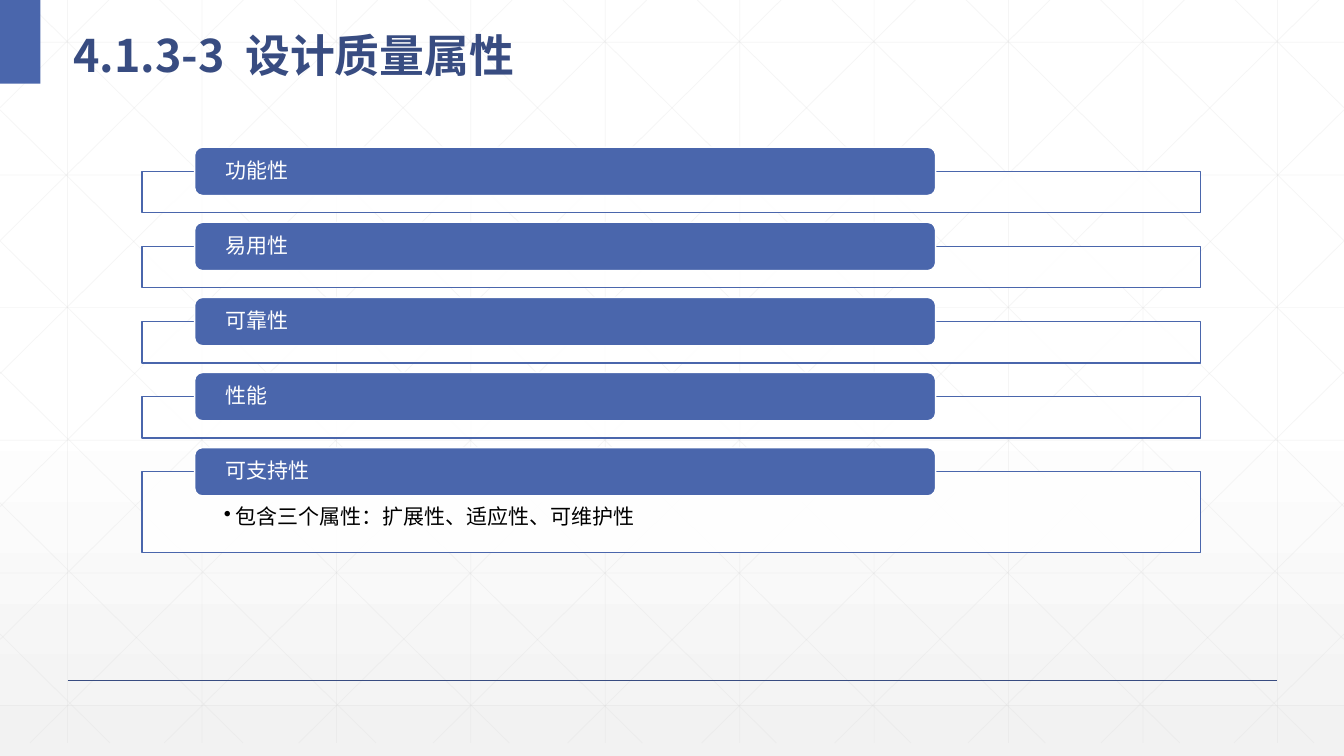
from dataclasses import dataclass

from lxml.etree import SubElement
from pptx import Presentation
from pptx.dml.color import RGBColor
from pptx.enum.shapes import MSO_CONNECTOR, MSO_SHAPE
from pptx.enum.text import MSO_ANCHOR, PP_ALIGN
from pptx.oxml.ns import qn
from pptx.util import Inches, Pt


@dataclass(frozen=True)
class Theme:
    white: str = "FFFFFF"
    black: str = "000000"
    shade: str = "F2F2F2"
    grid: str = "D9D9D9"
    blue: str = "4A66AC"
    navy: str = "384C81"
    latin: str = "Arial"
    chinese: str = "Noto Sans CJK SC"
    title_size: int = 32
    body_size: int = 15


@dataclass(frozen=True)
class Line:
    x1: float
    y1: float
    x2: float
    y2: float


@dataclass(frozen=True)
class Attribute:
    name: str
    height: float = 0.41
    detail: str = ""


THEME = Theme()
WIDTH = 13.33
GRID_HEIGHT = 7.37
DIAGONAL_RUN = 7.45
GRID_STEP = 4 / 3
FIRST_PANEL_TOP = 1.7
PANEL_PITCH = (4.68 - FIRST_PANEL_TOP) / 4
ATTRIBUTES = [
    Attribute("功能性"),
    Attribute("易用性"),
    Attribute("可靠性"),
    Attribute("性能"),
    Attribute("可支持性", 0.8, "包含三个属性：扩展性、适应性、可维护性"),
]


def set_alpha(element, percent: int) -> None:
    color = element.find(".//" + qn("a:srgbClr"))
    SubElement(color, qn("a:alpha")).set("val", str(percent * 1000))


def set_background(slide) -> None:
    fill = slide.background.fill
    fill.gradient()
    fill.gradient_angle = 270
    stops = slide.element.find(".//" + qn("a:gsLst"))
    for stop in list(stops):
        stops.remove(stop)
    for position, color in ((0, THEME.white), (53, THEME.white), (100, THEME.shade)):
        stop = SubElement(stops, qn("a:gs"))
        stop.set("pos", str(position * 1000))
        SubElement(stop, qn("a:srgbClr")).set("val", color)
    set_alpha(stops[-1], 65)


def draw_line(slide, line: Line, color: str, width: float, alpha: int = 100) -> None:
    connector = slide.shapes.add_connector(
        MSO_CONNECTOR.STRAIGHT,
        Inches(line.x1), Inches(line.y1), Inches(line.x2), Inches(line.y2),
    )
    connector.line.color.rgb = RGBColor.from_string(color)
    connector.line.width = Pt(width)
    properties = connector.element.spPr
    if alpha < 100:
        set_alpha(properties, alpha)
    SubElement(properties, qn("a:effectLst"))


def grid_lines() -> list[Line]:
    lines = []
    for index in range(10):
        x = 0.67 + index * GRID_STEP
        lines.append(Line(x, 0, x, GRID_HEIGHT))
    for index in range(6):
        y = 0.42 + index * 1.316
        lines.append(Line(0, y, WIDTH, y))
    diagonals = []
    for index in range(10):
        start = 0.25 + index * GRID_STEP
        end = min(WIDTH, start + DIAGONAL_RUN)
        diagonals.append(Line(start, 0, end, (end - start) * GRID_HEIGHT / DIAGONAL_RUN))
    for index in range(5):
        diagonals.append(Line(0, 1.09 + index * 1.3, 6.37 - index * 1.32, GRID_HEIGHT))
    mirrored = [Line(WIDTH - d.x1, d.y1, WIDTH - d.x2, d.y2) for d in diagonals]
    return lines + diagonals + mirrored


def draw_shape(slide, kind, left: float, top: float, width: float, height: float,
               fill: str, outline: str = ""):
    shape = slide.shapes.add_shape(
        kind, Inches(left), Inches(top), Inches(width), Inches(height)
    )
    shape.shadow.inherit = False
    shape.fill.solid()
    shape.fill.fore_color.rgb = RGBColor.from_string(fill)
    if outline:
        shape.line.color.rgb = RGBColor.from_string(outline)
        shape.line.width = Pt(1)
    else:
        shape.line.fill.background()
    return shape


def set_insets(frame, side: float, top: float, bottom: float) -> None:
    frame.margin_left = frame.margin_right = Inches(side)
    frame.margin_top = Inches(top)
    frame.margin_bottom = Inches(bottom)


def style_paragraph(paragraph, size: int, color: str, latin: str,
                    spacing: float, bold: bool = False) -> None:
    paragraph.alignment = PP_ALIGN.LEFT
    paragraph.line_spacing = spacing
    font = paragraph.font
    font.size = Pt(size)
    font.bold = bold
    font.color.rgb = RGBColor.from_string(color)
    font.name = latin
    SubElement(font._element, qn("a:ea")).set("typeface", THEME.chinese)


def add_bullet(paragraph) -> None:
    properties = paragraph._p.get_or_add_pPr()
    properties.set("marL", str(Inches(0.12)))
    properties.set("indent", str(Inches(-0.12)))
    SubElement(properties, qn("a:buChar")).set("char", "•")


def draw_title(slide) -> None:
    box = slide.shapes.add_textbox(Inches(0.63), Inches(0.1), Inches(12.42), Inches(0.73))
    frame = box.text_frame
    frame.word_wrap = True
    frame.vertical_anchor = MSO_ANCHOR.MIDDLE
    set_insets(frame, 0.1, 0.05, 0.05)
    paragraph = frame.paragraphs[0]
    for text in ("4.1.3-3", " ", "设计质量属性"):
        run = paragraph.add_run()
        run.text = text
        if text == " ":
            run._r.get_or_add_rPr().set("spc", "720")
    style_paragraph(paragraph, THEME.title_size, THEME.navy, THEME.chinese, 1.3, True)


def draw_attribute(slide, attribute: Attribute, top: float) -> None:
    panel = draw_shape(slide, MSO_SHAPE.RECTANGLE, 1.41, top, 10.5, attribute.height,
                       THEME.white, THEME.blue)
    set_alpha(panel.element.spPr, 90)
    if attribute.detail:
        frame = panel.text_frame
        frame.vertical_anchor = MSO_ANCHOR.TOP
        set_insets(frame, 0.81, 0.34, 0.12)
        paragraph = frame.paragraphs[0]
        paragraph.text = attribute.detail
        add_bullet(paragraph)
        style_paragraph(paragraph, THEME.body_size, THEME.black, THEME.latin, 0.9)
    label = draw_shape(slide, MSO_SHAPE.ROUNDED_RECTANGLE, 1.93, top - 0.24, 7.35, 0.48,
                       THEME.blue, THEME.white)
    frame = label.text_frame
    frame.vertical_anchor = MSO_ANCHOR.MIDDLE
    set_insets(frame, 0.28, 0, 0)
    paragraph = frame.paragraphs[0]
    paragraph.text = attribute.name
    style_paragraph(paragraph, THEME.body_size, THEME.white, THEME.latin, 0.9)


def main() -> None:
    presentation = Presentation()
    presentation.slide_width = Inches(WIDTH)
    presentation.slide_height = Inches(7.5)
    slide = presentation.slides.add_slide(presentation.slide_layouts[6])
    set_background(slide)
    for line in grid_lines():
        draw_line(slide, line, THEME.grid, 0.5, 25)
    draw_line(slide, Line(0.67, 6.75, 12.67, 6.75), THEME.navy, 1)
    draw_shape(slide, MSO_SHAPE.RECTANGLE, 0, 0, 0.4, 0.83, THEME.blue)
    draw_title(slide)
    for index, attribute in enumerate(ATTRIBUTES):
        draw_attribute(slide, attribute, FIRST_PANEL_TOP + index * PANEL_PITCH)
    presentation.save("out.pptx")


if __name__ == "__main__":
    main()
